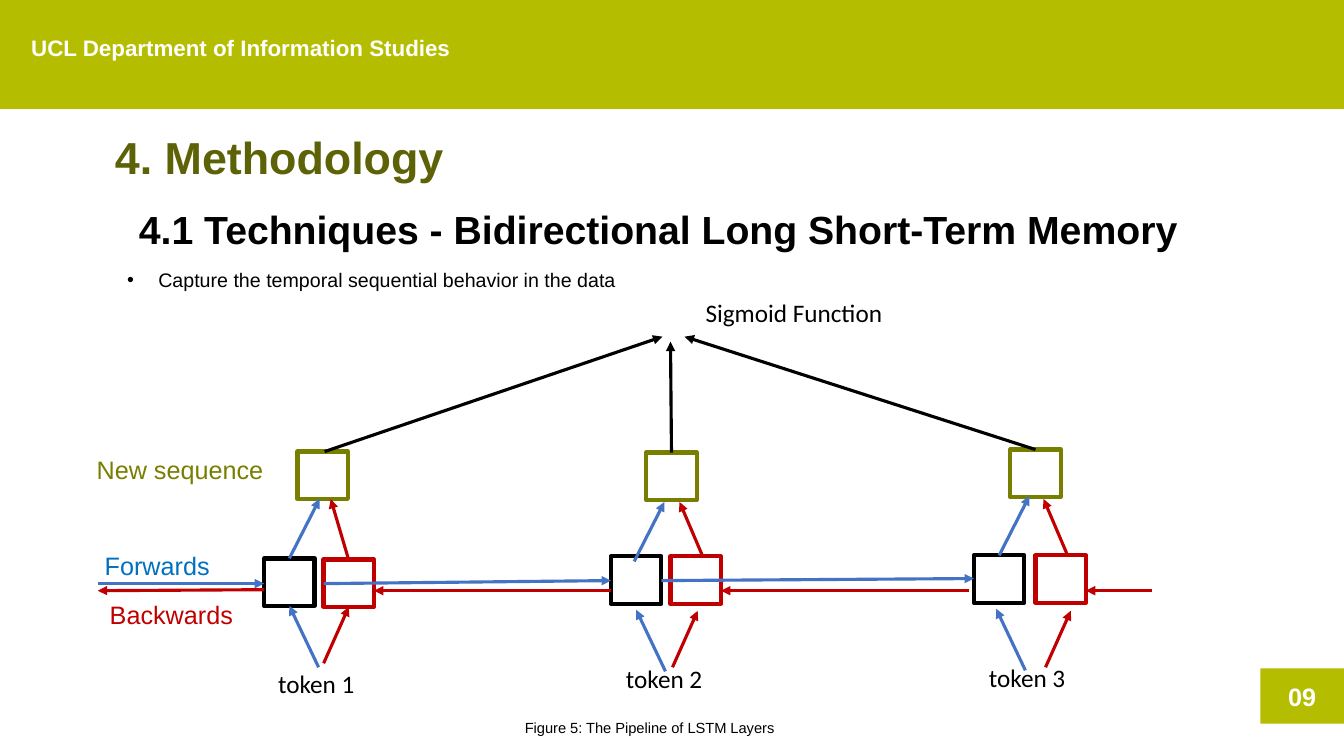
"""Build the methodology slide on bidirectional long short-term memory."""
import lxml.etree
import pptx
import pptx.dml.color
import pptx.enum.shapes
import pptx.enum.text
import pptx.oxml.ns
import pptx.util

Inches = pptx.util.Inches
Pt = pptx.util.Pt
qn = pptx.oxml.ns.qn
ALIGN = pptx.enum.text.PP_ALIGN
ANCHOR = pptx.enum.text.MSO_ANCHOR
RECTANGLE = pptx.enum.shapes.MSO_SHAPE.RECTANGLE

BLACK, WHITE, LIME, OLIVE = "000000", "FFFFFF", "B5BD00", "787E00"
BLUE, RED = "4472C4", "C00000"


def paint(target, color):
    """Give a fill or a font a solid colour."""
    if hasattr(target, "solid"):
        target.solid()
        target.fore_color.rgb = pptx.dml.color.RGBColor.from_string(color)
    else:
        target.color.rgb = pptx.dml.color.RGBColor.from_string(color)


def write(text, at, holder=None, size=18, color=BLACK, font="Arial", bold=False,
          align=ALIGN.LEFT, anchor=ANCHOR.TOP, spacing=1.0, wrap=True, margins=None):
    """Put formatted text into a holder, or into a new text box."""
    lengths = [Inches(length) for length in at]
    if holder is None:
        holder = slide.shapes.add_textbox(*lengths)
    holder.left, holder.top, holder.width, holder.height = lengths
    frame = holder.text_frame
    frame.auto_size = pptx.enum.text.MSO_AUTO_SIZE.NONE
    frame.word_wrap = wrap
    frame.vertical_anchor = anchor
    if margins is not None:
        frame.margin_left = frame.margin_right = Inches(margins)
        frame.margin_top = frame.margin_bottom = Inches(margins)
    paragraph = frame.paragraphs[0]
    paragraph.alignment = align
    paragraph.line_spacing = spacing
    paragraph.space_before = Pt(0)
    run = paragraph.add_run()
    run.text = text
    run.font.name, run.font.size, run.font.bold = font, Pt(size), bold
    paint(run.font, color)
    return paragraph


presentation = pptx.Presentation()
presentation.slide_width = Inches(13.33)
presentation.slide_height = Inches(7.5)
slide = presentation.slides.add_slide(presentation.slide_layouts[1])

header_band = (0, 0, 13.33, 1.08)
page_badge = (12.5, 6.63, 0.83, 0.55)
for area in (header_band, page_badge):
    block = slide.shapes.add_shape(RECTANGLE, *[Inches(length) for length in area])
    block.shadow.inherit = False
    paint(block.fill, LIME)
    block.line.fill.background()
write("09", page_badge, block, color=WHITE, bold=True, align=ALIGN.CENTER,
      anchor=ANCHOR.MIDDLE)

write("UCL Department of Information Studies", (0.31, 0.39, 8, 0.43), size=16,
      color=WHITE, bold=True, spacing=0.8, margins=0)
write("4. Methodology", (1.04, 1.3, 11.5, 0.65), slide.shapes.title, size=32,
      color="5D6207", bold=True, spacing=0.9)
write("4.1 Techniques - Bidirectional Long Short-Term Memory", (1.28, 1.99, 11.9, 0.6),
      size=28, bold=True)

purpose = write("Capture the temporal sequential behavior in the data",
                (1.16, 2.61, 6.66, 0.4), slide.placeholders[1], size=14)
bullet_format = purpose._p.get_or_add_pPr()
bullet_format.set("marL", str(Inches(0.31)))
bullet_format.set("indent", str(Inches(-0.31)))
lxml.etree.SubElement(bullet_format, qn("a:buChar")).set("char", "•")

cells = [
    (BLACK, [(2.62, 5.54), (6.06, 5.52), (9.66, 5.51)]),
    (RED, [(3.21, 5.55), (6.65, 5.52), (10.27, 5.51)]),
    (OLIVE, [(2.95, 4.48), (6.41, 4.49), (10.02, 4.46)]),
]
for color, corners in cells:
    for left, top in corners:
        cell = slide.shapes.add_shape(RECTANGLE, Inches(left), Inches(top),
                                      Inches(0.5), Inches(0.47))
        cell.shadow.inherit = False
        cell.fill.background()
        paint(cell.line.fill, color)
        cell.line.width = Pt(3)

arrows = [
    (BLUE, 0.97, 5.79, 2.62, 5.79),
    (BLUE, 3.21, 5.79, 6.06, 5.76),
    (BLUE, 6.56, 5.76, 9.66, 5.74),
    (RED, 11.43, 5.86, 10.77, 5.86),
    (RED, 9.61, 5.86, 7.15, 5.86),
    (RED, 6.06, 5.86, 3.71, 5.86),
    (RED, 2.62, 5.85, 0.97, 5.86),
    (RED, 3.46, 5.56, 3.28, 4.95),
    (RED, 6.97, 5.52, 6.74, 4.98),
    (RED, 10.58, 5.49, 10.35, 4.95),
    (BLACK, 3.22, 4.48, 6.57, 3.34),
    (BLACK, 6.66, 4.49, 6.65, 3.39),
    (BLACK, 10.27, 4.46, 6.79, 3.34),
]
parallel_steps = [
    (BLUE, -0.29, -0.61, [(3.16, 6.62), (6.6, 6.66), (10.17, 6.65)]),
    (RED, 0.25, -0.56, [(3.21, 6.58), (6.67, 6.62), (10.37, 6.62)]),
    (BLUE, 0.3, -0.59, [(2.87, 5.54), (6.29, 5.57), (9.91, 5.51)]),
]
for color, across, up, starts in parallel_steps:
    arrows += [(color, x, y, x + across, y + up) for x, y in starts]

for color, *ends in arrows:
    arrow = slide.shapes.add_connector(pptx.enum.shapes.MSO_CONNECTOR.STRAIGHT,
                                       *[Inches(length) for length in ends])
    paint(arrow.line.fill, color)
    arrow.line.width = Pt(2.25)
    outline = arrow.line._get_or_add_ln()
    lxml.etree.SubElement(outline, qn("a:tailEnd")).set("type", "triangle")
    lxml.etree.SubElement(arrow._element.spPr, qn("a:effectLst"))

token_corners = [(2.66, 6.58), (6.11, 6.53), (9.71, 6.52)]
for number, corner in enumerate(token_corners, start=1):
    write(f"token {number}", (*corner, 1.11, 0.4), font="Calibri")
write("Sigmoid Function", (6.9, 2.9, 2.6, 0.4), font="Calibri")
write("New sequence", (0.86, 4.46, 1.87, 0.4), color=OLIVE, wrap=False)
write("Forwards", (0.94, 5.41, 1.25, 0.4), color="0070C0", wrap=False)
write("Backwards", (0.99, 5.9, 1.44, 0.4), color=RED, wrap=False)
write("Figure 5: The Pipeline of LSTM Layers", (4.43, 7.08, 4.03, 0.28), size=10.5,
      align=ALIGN.CENTER)

presentation.save("out.pptx")
